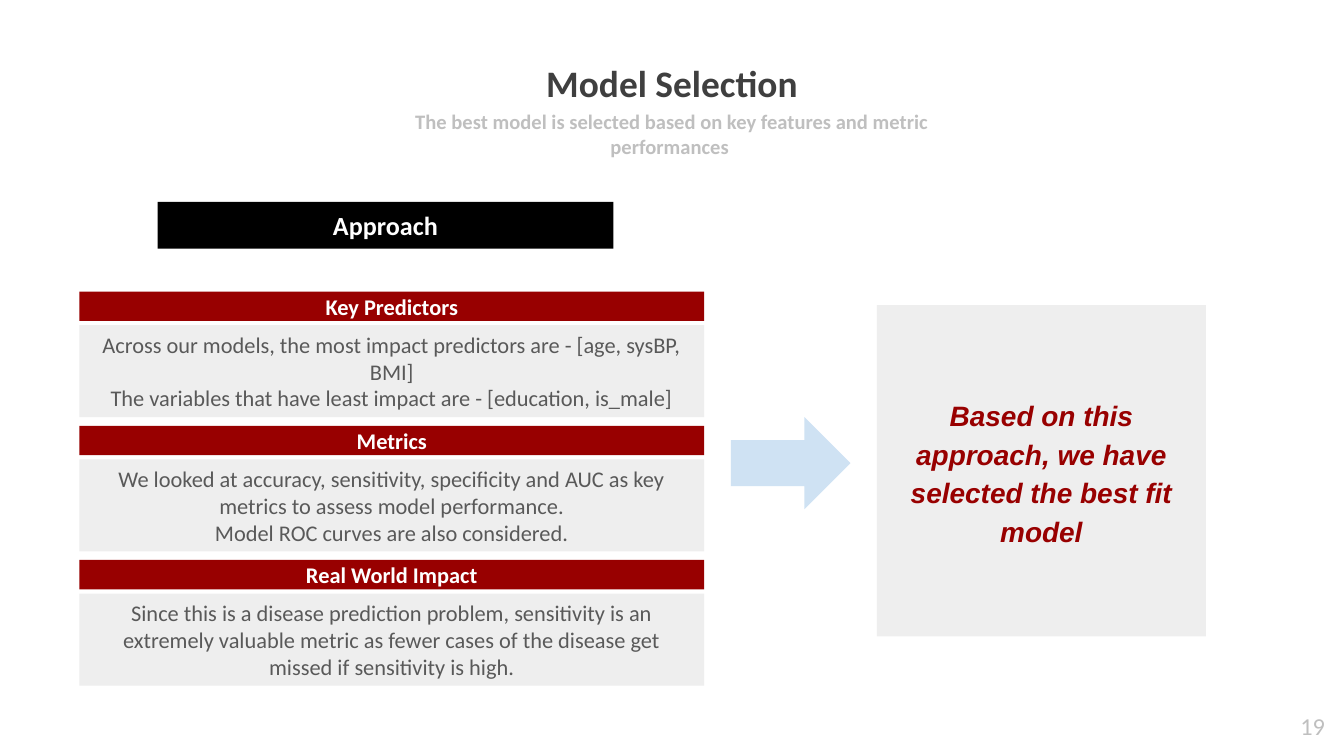
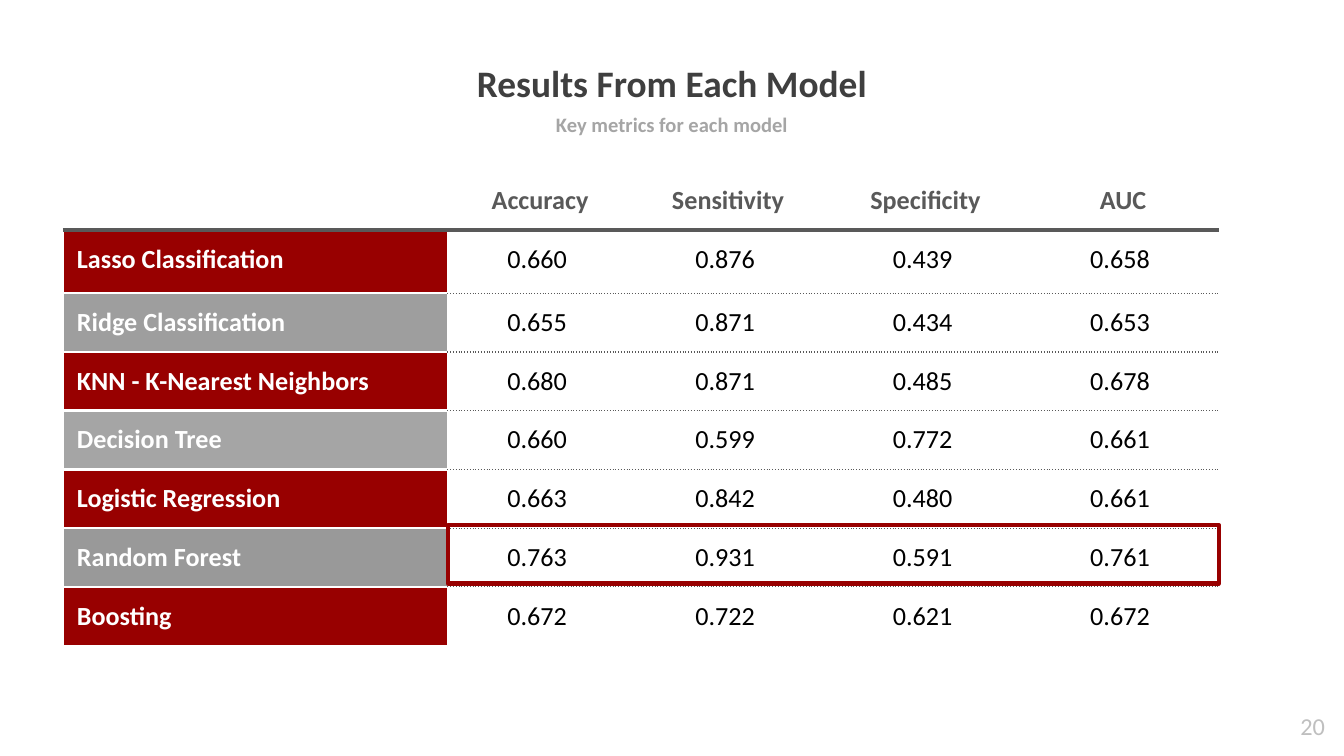
from lxml.etree import SubElement
from pptx import Presentation
from pptx.dml.color import RGBColor
from pptx.enum.shapes import MSO_SHAPE
from pptx.enum.text import MSO_ANCHOR, MSO_AUTO_SIZE, PP_ALIGN
from pptx.oxml.ns import qn
from pptx.util import Pt

RED, PANEL, SKY = "980000", "EEEEEE", "CFE2F3"
WHITE, BLACK, INK, GREY, PALE = "FFFFFF", "000000", "3F3F3F", "595959", "BFBFBF"
INSET = 7.2

SELECTION = {
    "title": "Model Selection",
    "subtitle": "The best model is selected based on key features and metric performances ",
    "number": "19",
}
APPROACH = [
    ("Key Predictors", [
        "Across our models, the most impact predictors are - [age, sysBP, BMI]",
        "The variables that have least impact are - [education, is_male]",
    ]),
    ("Metrics", [
        "We looked at accuracy, sensitivity, specificity and AUC as key metrics "
        "to assess model performance.",
        "Model ROC curves are also considered.",
    ]),
    ("Real World Impact", [
        "Since this is a disease prediction problem, sensitivity is an extremely "
        "valuable metric as fewer cases of the disease get missed if sensitivity is high.",
    ]),
]
CONCLUSION = "Based on this approach, we have selected the best fit model"

RESULTS = {
    "title": "Results From Each Model",
    "subtitle": "Key metrics for each model",
    "number": "20",
}
METRICS = ["", " Accuracy", " Sensitivity", " Specificity", " AUC"]
MODELS = [
    (RED, "Lasso Classification", "0.660", "0.876", "0.439", "0.658"),
    ("9E9E9E", "Ridge Classification", "0.655", "0.871", "0.434", "0.653"),
    (RED, "KNN - K-Nearest Neighbors", "0.680", "0.871", "0.485", "0.678"),
    ("A5A5A5", "Decision Tree", "0.660", "0.599", "0.772", "0.661"),
    (RED, "Logistic Regression", "0.663", "0.842", "0.480", "0.661"),
    ("999999", "Random Forest", "0.763", "0.931", "0.591", "0.761"),
    (RED, "Boosting", "0.672", "0.722", "0.621", "0.672"),
]
COL_WIDTHS = [206, 95.6, 105.8, 105.8, 105.8]
ROW_HEIGHTS = [31, 33.8] + [31.2] * 6
TABLE_LEFT, TABLE_TOP = 34, 91.8
BEST_ROW = 6


def rgb(color):
    return RGBColor.from_string(color)


def box(left, top, width, height):
    return [Pt(v) for v in (left, top, width, height)]


def write(tf, lines, size, color, align=PP_ALIGN.CENTER, spacing=None, **font):
    """Fill a text frame, one paragraph per line; font holds further font values."""
    values = {"name": "Calibri", "size": Pt(size), "bold": False, **font}
    for i, line in enumerate(lines):
        p = tf.paragraphs[0] if i == 0 else tf.add_paragraph()
        p.alignment = align
        if spacing:
            p.line_spacing = spacing
        r = p.add_run()
        r.text = line
        for key, value in values.items():
            setattr(r.font, key, value)
        r.font.color.rgb = rgb(color)


def frame(tf, inset, anchor):
    values = {"word_wrap": True, "auto_size": MSO_AUTO_SIZE.NONE, "vertical_anchor": anchor}
    for side in ("left", "top", "right", "bottom"):
        values["margin_" + side] = Pt(inset)
    for key, value in values.items():
        setattr(tf, key, value)
    return tf


def add_text(slide, place, text, size, color, inset, anchor, **style):
    sp = slide.shapes.add_textbox(*box(*place))
    write(frame(sp.text_frame, inset, anchor), [text], size, color, **style)


def add_block(slide, place, fill, lines=(), size=12, color=WHITE,
              kind=MSO_SHAPE.RECTANGLE, **style):
    sp = slide.shapes.add_shape(kind, *box(*place))
    sp.shadow.inherit = False
    sp.line.fill.background()
    if fill:
        sp.fill.solid()
        sp.fill.fore_color.rgb = rgb(fill)
    else:
        sp.fill.background()
    write(frame(sp.text_frame, INSET, MSO_ANCHOR.MIDDLE), lines, size, color, **style)
    return sp


def add_slide(prs, heading, subtitle_color, subtitle_width, subtitle_anchor):
    slide = prs.slides.add_slide(prs.slide_layouts[5])
    title = slide.shapes.title
    title.left, title.top, title.width, title.height = box(138, 30, 444, 28)
    write(frame(title.text_frame, 0, MSO_ANCHOR.MIDDLE), [heading["title"]], 20, INK, bold=True)
    add_text(slide, (360 - subtitle_width / 2, 58.4, subtitle_width, 16), heading["subtitle"],
             11, subtitle_color, 0, subtitle_anchor, bold=True)
    add_text(slide, (673.8, 374, 43, 31), heading["number"], 13, PALE, INSET,
             MSO_ANCHOR.TOP, align=PP_ALIGN.RIGHT)
    return slide


def row_rule(line, col):
    """Colour, width and dash of the horizontal line above table row `line`."""
    if line in (0, len(ROW_HEIGHTS)):
        return WHITE, 0.75, "solid"
    if line == 1:
        return GREY, 2.25, "solid"
    return (WHITE, 1.5, "solid") if col == 0 else (GREY, 0.75, "sysDot")


def set_borders(cell, row, col):
    side = (WHITE, 0.75, "solid")
    rules = {"a:lnL": side, "a:lnR": side,
             "a:lnT": row_rule(row, col), "a:lnB": row_rule(row + 1, col)}
    tc_pr = cell._tc.get_or_add_tcPr()
    for tag, (color, width, dash) in rules.items():
        ln = SubElement(tc_pr, qn(tag), w=str(Pt(width)))
        SubElement(SubElement(ln, qn("a:solidFill")), qn("a:srgbClr"), val=color)
        SubElement(ln, qn("a:prstDash"), val=dash)


def add_results_table(slide):
    rows = [(WHITE, *METRICS)] + MODELS
    place = box(TABLE_LEFT, TABLE_TOP, sum(COL_WIDTHS), sum(ROW_HEIGHTS))
    table = slide.shapes.add_table(len(rows), len(METRICS), *place).table
    table.first_row = table.horz_banding = False
    for column, width in zip(table.columns, COL_WIDTHS):
        column.width = Pt(width)
    for i, (label_fill, *texts) in enumerate(rows):
        table.rows[i].height = Pt(ROW_HEIGHTS[i])
        for j, text in enumerate(texts):
            cell = table.cell(i, j)
            # An empty cell gets no margins, so that it cannot stretch its row.
            for side in ("left", "top", "right", "bottom"):
                setattr(cell, "margin_" + side, Pt(INSET if text else 0))
            set_borders(cell, i, j)
            if j == 0:
                cell.fill.solid()
                cell.fill.fore_color.rgb = rgb(label_fill)
            else:
                cell.fill.background()
            if text:
                color = GREY if i == 0 else WHITE if j == 0 else BLACK
                align = PP_ALIGN.CENTER if j else PP_ALIGN.LEFT
                write(cell.text_frame, [text], 14, color, align, bold=i == 0 or j == 0)


def build_selection(prs):
    slide = add_slide(prs, SELECTION, PALE, 340, MSO_ANCHOR.TOP)
    add_block(slide, (469.8, 163.5, 176.2, 177.5), PANEL, [CONCLUSION], 15, RED,
              spacing=1.15, name="Arial", bold=True, italic=True)
    add_block(slide, (391.6, 223.5, 64, 49.2), SKY, kind=MSO_SHAPE.RIGHT_ARROW)
    add_block(slide, (84.4, 108.2, 244.2, 25), BLACK, ["Approach"], 14, bold=True)
    for i, (name, lines) in enumerate(APPROACH):
        top = 156.2 + 71.9 * i
        add_block(slide, (42.5, top, 334.8, 15.8), RED, [name], bold=True)
        add_block(slide, (42.5, top + 18, 334.8, 49.3), PANEL, lines, color=GREY)


def build_results(prs):
    slide = add_slide(prs, RESULTS, "A5A5A5", 324, MSO_ANCHOR.MIDDLE)
    add_results_table(slide)
    top = TABLE_TOP + sum(ROW_HEIGHTS[:BEST_ROW])
    place = TABLE_LEFT + COL_WIDTHS[0], top, sum(COL_WIDTHS[1:]), ROW_HEIGHTS[BEST_ROW]
    sp = add_block(slide, place, None)
    sp.line.color.rgb = rgb(RED)
    sp.line.width = Pt(2.25)


def main():
    prs = Presentation()
    prs.slide_width, prs.slide_height = Pt(720), Pt(405)
    build_selection(prs)
    build_results(prs)
    prs.save("out.pptx")


if __name__ == "__main__":
    main()
